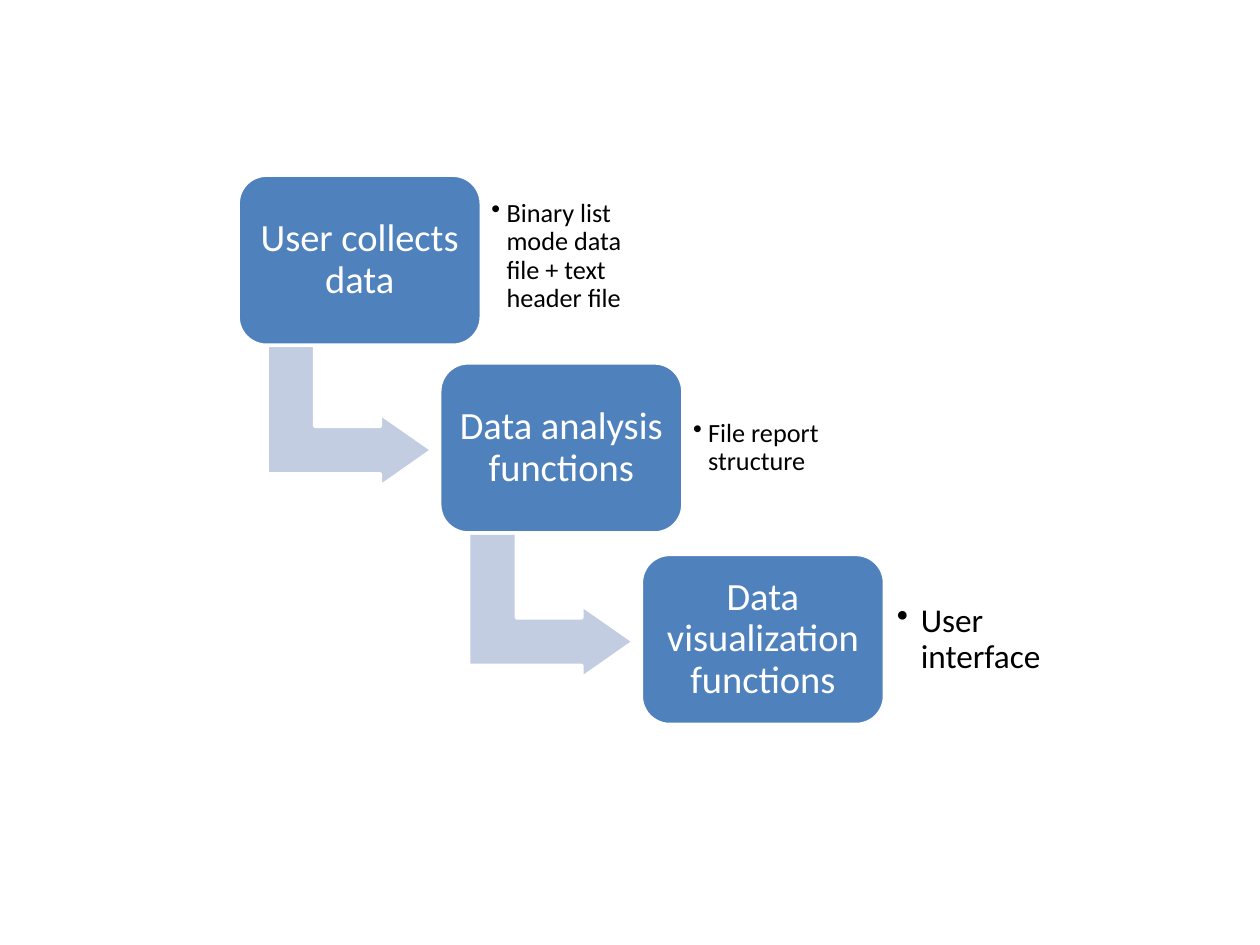
from lxml import etree
from pptx import Presentation, util as u
from pptx.dml.color import RGBColor
from pptx.enum import shapes, text
from pptx.oxml.ns import qn


def color(value):
    return RGBColor.from_string(value)


class StepDiagram:
    """Draws the parts of a descending step diagram on one slide."""

    font, box_fill, arrow_fill = "Calibri", "4F81BD", "C2CDE1"
    light, dark = "FFFFFF", "000000"

    def __init__(self, slide):
        self.slide = slide

    def block(self, kind, frame, fill, adjustments):
        shape = self.slide.shapes.add_shape(kind, *map(u.Inches, frame))
        shape.shadow.inherit = False
        shape.fill.solid()
        shape.fill.fore_color.rgb = color(fill)
        shape.line.color.rgb = color(self.light)
        shape.line.width = u.Pt(2)
        for index, value in enumerate(adjustments):
            shape.adjustments[index] = value
        return shape

    def label(self, shape, words, size, ink, inset, alignment):
        frame = shape.text_frame
        frame.word_wrap = True
        frame.vertical_anchor = text.MSO_ANCHOR.MIDDLE
        frame.margin_left = frame.margin_right = u.Inches(inset)
        frame.margin_top = frame.margin_bottom = u.Inches(inset)
        paragraph = frame.paragraphs[0]
        paragraph.alignment = alignment
        paragraph.line_spacing = 0.9
        run = paragraph.add_run()
        run.text = words
        run.font.name = self.font
        run.font.size = u.Pt(size)
        run.font.color.rgb = color(ink)
        return paragraph

    def arrow(self, left, top):
        shape = self.block(shapes.MSO_SHAPE.BENT_UP_ARROW, (left, top, 1.15, 1.31),
                           self.arrow_fill, (0.328, 0.25, 0.358))
        shape.rotation = 90

    def box(self, left, top, words):
        shape = self.block(shapes.MSO_SHAPE.ROUNDED_RECTANGLE, (left, top, 1.93, 1.35),
                           self.box_fill, (0.167,))
        self.label(shape, words, 22, self.light, 0.09, text.PP_ALIGN.CENTER)

    def note(self, left, top, words, size, inset, indent):
        shape = self.slide.shapes.add_textbox(*map(u.Inches, (left, top, 1.41, 1.09)))
        paragraph = self.label(shape, words, size, self.dark, inset, text.PP_ALIGN.LEFT)
        paragraph.level = 1
        properties = paragraph._p.get_or_add_pPr()
        properties.set("marL", str(u.Inches(indent)))
        properties.set("indent", str(-u.Inches(indent)))
        etree.SubElement(properties, qn("a:buChar")).set("char", "•")


presentation = Presentation()
presentation.slide_width, presentation.slide_height = u.Inches(10), u.Inches(7.5)
diagram = StepDiagram(presentation.slides.add_slide(presentation.slide_layouts[6]))

steps = [
    (1.39, "User collects data", 1.49, "Binary list mode data file + text header file", 15, 0.08, 0.12),
    (2.88, "Data analysis functions", 3.01, "File report structure", 15, 0.08, 0.12),
    (4.40, "Data visualization functions", 4.53, "User interface", 19, 0.1, 0.19),
]
for index, (top, title, note_top, note, size, inset, indent) in enumerate(steps):
    left = 1.89 + 1.6 * index
    if index + 1 < len(steps):
        diagram.arrow(left + 0.31, steps[index + 1][0] - 0.25)
    diagram.box(left, top, title)
    diagram.note(left + 1.93, note_top, note, size, inset, indent)

presentation.save("out.pptx")
